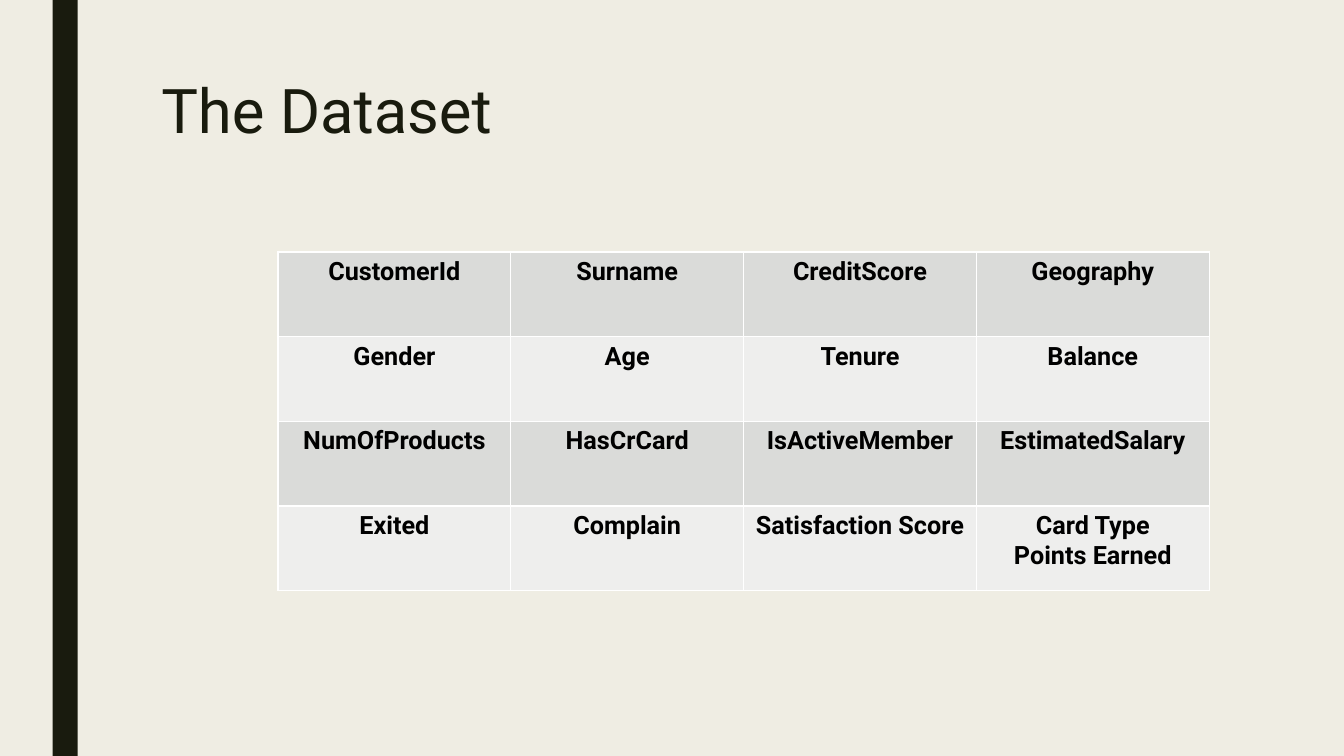
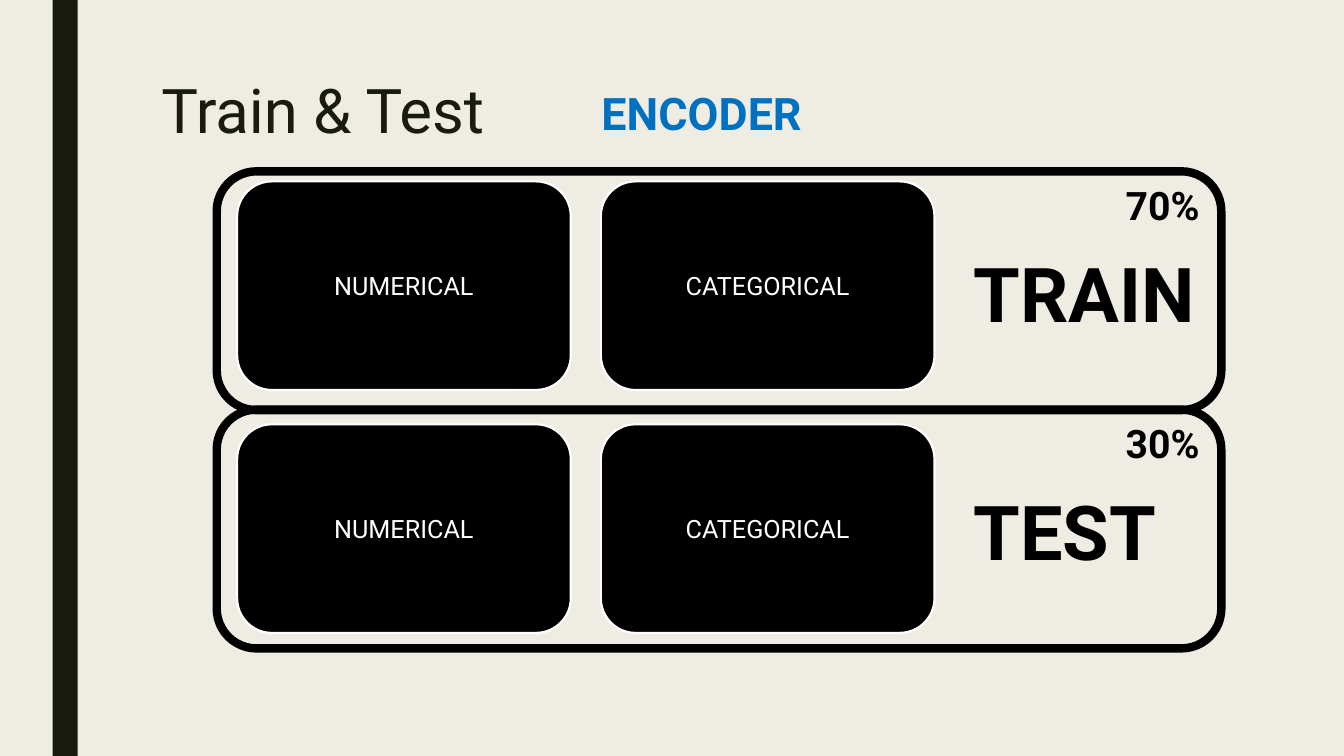
"""Build two slides: the dataset's columns and the train and test split."""
from lxml import etree
from pptx import Presentation
from pptx.dml.color import RGBColor
from pptx.enum import shapes, text
from pptx.oxml import ns
from pptx.util import Pt

FONT = "Roboto"
INK, BLACK, WHITE, BLUE = "191B0E", "000000", "FFFFFF", "0070C0"
BANDS = ["DADBD9", "EEEEED"]


def rgb(code):
    return RGBColor.from_string(code)


def write(para, words, size, color, bold=False):
    run = para.add_run()
    run.text = words
    run.font.name, run.font.size, run.font.bold = FONT, Pt(size), bold
    run.font.color.rgb = rgb(color)


prs = Presentation()
prs.slide_width, prs.slide_height = Pt(960), Pt(540)
back = prs.slide_master.background.fill
back.solid()
back.fore_color.rgb = rgb("EFEDE3")

pages = []
for name in ["The Dataset", "Train & Test"]:
    page = prs.slides.add_slide(prs.slide_layouts[5])
    pages.append(page)
    title = page.shapes.title
    title.left, title.top, title.width, title.height = Pt(108), Pt(54), Pt(756), Pt(117)
    frame = title.text_frame
    frame.vertical_anchor = text.MSO_ANCHOR.TOP
    frame.auto_size = text.MSO_AUTO_SIZE.NONE
    para = frame.paragraphs[0]
    para.alignment, para.line_spacing = text.PP_ALIGN.LEFT, 0.89
    write(para, name, 44, INK)
    bar = page.shapes.add_shape(shapes.MSO_SHAPE.RECTANGLE, Pt(37.5), 0, Pt(18), Pt(540))
    bar.shadow.inherit = False
    bar.fill.solid()
    bar.fill.fore_color.rgb = rgb(INK)
    bar.line.fill.background()
data, split = pages

rows = [
    ["CustomerId", "Surname", "CreditScore", "Geography"],
    ["Gender", "Age", "Tenure", "Balance"],
    ["NumOfProducts", "HasCrCard", "IsActiveMember", "EstimatedSalary"],
    ["Exited", "Complain", "Satisfaction Score", "Card Type\nPoints Earned"],
]
grid = data.shapes.add_table(4, 4, Pt(198.6), Pt(180), Pt(665.2), Pt(242)).table
for r, row in enumerate(rows):
    for c, words in enumerate(row):
        cell = grid.cell(r, c)
        props = cell._tc.get_or_add_tcPr()
        for side in ["lnL", "lnR", "lnT", "lnB"]:
            edge = etree.SubElement(props, ns.qn("a:" + side), w=str(Pt(1)))
            paint = etree.SubElement(edge, ns.qn("a:solidFill"))
            etree.SubElement(paint, ns.qn("a:srgbClr"), val=WHITE)
        cell.fill.solid()
        cell.fill.fore_color.rgb = rgb(BANDS[r % 2])
        for i, line in enumerate(words.split("\n")):
            para = cell.text_frame.paragraphs[0] if i == 0 else cell.text_frame.add_paragraph()
            para.alignment = text.PP_ALIGN.CENTER
            write(para, line, 18, BLACK, True)

boxes = []
labels = [("ENCODER", 422.6, 57.6, 203.8, 46, 32, BLUE)]
for i, (name, share) in enumerate([("TRAIN", "70%"), ("TEST", "30%")]):
    top = 122.4 + 170.2 * i
    inner = 129.6 + 173.5 * i
    boxes += [
        ("NUMERICAL", 169.4, inner, 238.3, 149, BLACK, WHITE, 1.5),
        ("CATEGORICAL", 429.2, inner, 238.3, 149, BLACK, WHITE, 1.5),
        ("", 154.8, top, 717.6, 170.6, None, BLACK, 6),
    ]
    labels += [
        (name, 688.4, top + 50.4, 203.8, 72.7, 54, BLACK),
        (share, 797, top + 3.2, 71.3, 41.2, 28, BLACK),
    ]

for words, x, y, w, h, fill, edge, thick in boxes:
    box = split.shapes.add_shape(
        shapes.MSO_SHAPE.ROUNDED_RECTANGLE, Pt(x), Pt(y), Pt(w), Pt(h))
    box.shadow.inherit = False
    box.line.color.rgb, box.line.width = rgb(edge), Pt(thick)
    if fill:
        box.fill.solid()
        box.fill.fore_color.rgb = rgb(fill)
        box.text_frame.vertical_anchor = text.MSO_ANCHOR.MIDDLE
        para = box.text_frame.paragraphs[0]
        para.alignment = text.PP_ALIGN.CENTER
        write(para, words, 18, WHITE)
    else:
        box.fill.background()

for words, x, y, w, h, size, color in labels:
    frame = split.shapes.add_textbox(Pt(x), Pt(y), Pt(w), Pt(h)).text_frame
    frame.word_wrap = True
    frame.auto_size = text.MSO_AUTO_SIZE.SHAPE_TO_FIT_TEXT
    write(frame.paragraphs[0], words, size, color, True)

prs.save("out.pptx")
